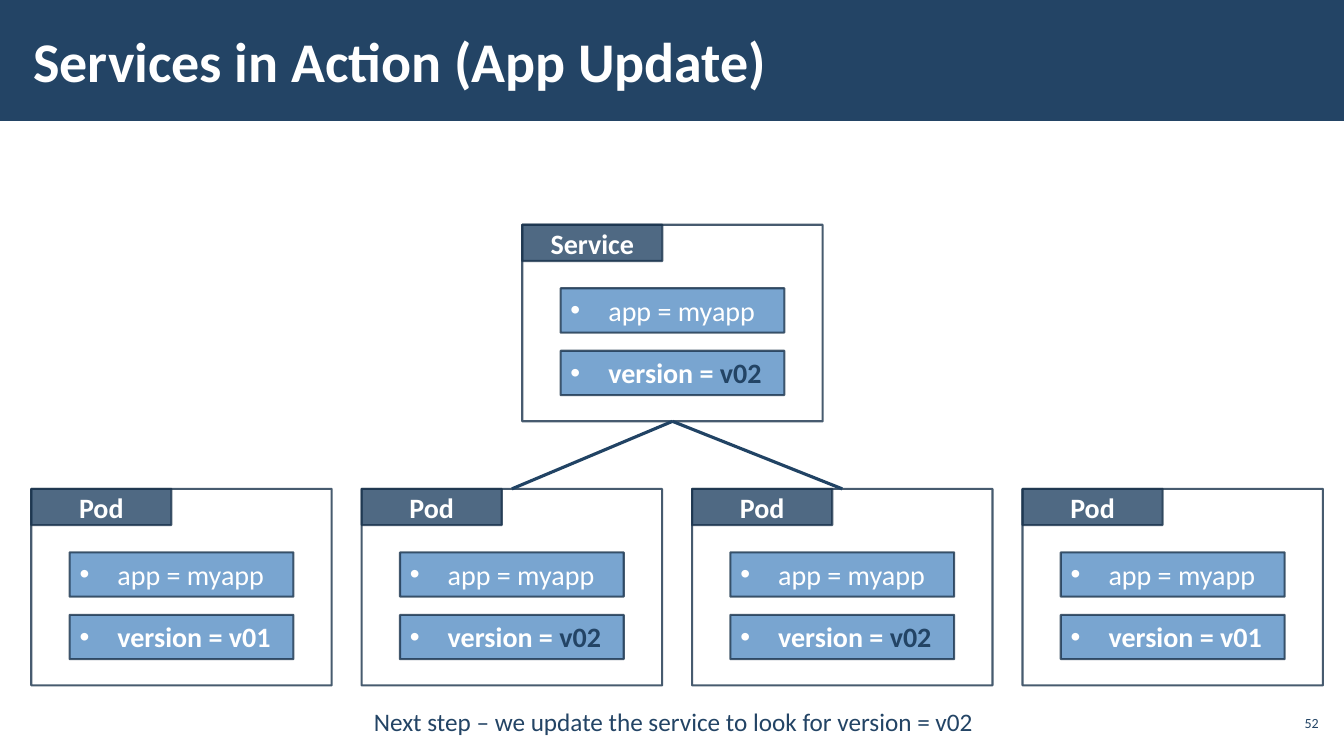
import pptx
import pptx.dml.color
import pptx.enum.shapes
import pptx.enum.text
import pptx.oxml.ns
import pptx.util
from lxml import etree

WIDTH, HEIGHT = 13.33, 7.5
NAVY, EDGE, SKY, WHITE = "234465", "1A334C", "588FC5", "FFFFFF"
FONT = "Calibri"
CARD_WIDTH, CARD_HEIGHT = 2.98, 1.95
POD_LEFT, POD_TOP, POD_PITCH = 0.31, 4.85, 3.277
SERVICE_LEFT, SERVICE_TOP = 5.18, 2.23
POD_VERSIONS = ("v01", "v02", "v02", "v01")
CURRENT_VERSION = "v02"
ALIGN = pptx.enum.text.PP_ALIGN
ANCHOR = pptx.enum.text.MSO_ANCHOR
RECTANGLE = pptx.enum.shapes.MSO_SHAPE.RECTANGLE


def inches(*lengths):
    """Turn lengths in inches into slide units."""
    return [pptx.util.Inches(length) for length in lengths]


def paint(color_format, color):
    """Set a colour format from a hex string."""
    color_format.rgb = pptx.dml.color.RGBColor.from_string(color)


def add_child(parent, tag, **attributes):
    """Append a drawing element with its attributes."""
    child = etree.SubElement(parent, pptx.oxml.ns.qn(tag))
    for name, value in attributes.items():
        child.set(name, value)
    return child


def make_translucent(fill_parent, percent):
    """Set the opacity of the solid fill directly inside an element."""
    color = fill_parent.find(pptx.oxml.ns.qn("a:solidFill"))[0]
    add_child(color, "a:alpha", val=str(percent * 1000))


def write(shape, spans, size=20, bold=False, align=ALIGN.LEFT, anchor=ANCHOR.TOP,
          margins=(0.1, 0.05), line_spacing=None, bullet=False):
    """Write one paragraph of (text, colour) spans into a shape."""
    frame = shape.text_frame
    frame.word_wrap = True
    frame.vertical_anchor = anchor
    frame.margin_left = frame.margin_right = pptx.util.Inches(margins[0])
    frame.margin_top = frame.margin_bottom = pptx.util.Inches(margins[1])
    para = frame.paragraphs[0]
    para.alignment = align
    if line_spacing:
        para.line_spacing = line_spacing
    if bullet:
        properties = para._p.get_or_add_pPr()
        indent = pptx.util.Inches(0.375)
        properties.set("marL", str(indent))
        properties.set("indent", str(-indent))
        add_child(properties, "a:buFont", typeface="Arial")
        add_child(properties, "a:buChar", char="•")
    for text, color in spans:
        span = para.add_run()
        span.text = text
        span.font.name = FONT
        span.font.size = pptx.util.Pt(size)
        span.font.bold = bold
        paint(span.font.color, color)


def add_rectangle(shapes, box, fill, line=None):
    """Add a rectangle, translucent when it has an outline."""
    shape = shapes.add_shape(RECTANGLE, *inches(*box))
    shape.shadow.inherit = False
    shape.fill.solid()
    paint(shape.fill.fore_color, fill)
    if line is None:
        shape.line.fill.background()
        return shape
    paint(shape.line.color, line)
    shape.line.width = pptx.util.Pt(1.5)
    make_translucent(shape._element.spPr, 80)
    make_translucent(shape.line._ln, 80)
    return shape


def add_text(page, box, text, color, **formats):
    """Add a text box with one span."""
    write(page.shapes.add_textbox(*inches(*box)), [(text, color)], **formats)


def add_header(page, box, title):
    """Add the title band."""
    left, top, width, height = box
    add_rectangle(page.shapes, box, NAVY)
    add_text(page, (left + 0.21, top + 0.11, width * 0.8, height * 0.81), title, WHITE,
             size=40, bold=True, anchor=ANCHOR.MIDDLE, margins=(0.12, 0.04))


def add_card(page, box, heading, version):
    """Add a grouped card with a heading and two labels, returning its frame."""
    left, top, width, height = box
    shapes = page.shapes.add_group_shape().shapes
    frame = add_rectangle(shapes, box, WHITE, EDGE)
    tab = add_rectangle(shapes, (left, top, 1.39, 0.36), NAVY, EDGE)
    write(tab, [(heading, WHITE)], bold=True, align=ALIGN.CENTER, anchor=ANCHOR.MIDDLE)
    version_color = NAVY if version == CURRENT_VERSION else WHITE
    labels = ([("app = myapp", WHITE)], [("version = ", WHITE), (version, version_color)])
    for row, spans in enumerate(labels):
        label_box = (left + 0.38, top + 0.63 + row * 0.62, width - 0.76, 0.44)
        label = add_rectangle(shapes, label_box, SKY, EDGE)
        write(label, spans, bold=row == 1, bullet=True)
    return frame


def connect(page, service, pod):
    """Join the bottom of the service to the top of a pod."""
    link = page.shapes.add_connector(pptx.enum.shapes.MSO_CONNECTOR.STRAIGHT, 0, 0, 0, 0)
    link.begin_connect(service, 2)
    link.end_connect(pod, 0)
    paint(link.line.color, "214364")
    link.line.width = pptx.util.Pt(2.25)
    add_child(link._element.spPr, "a:effectLst")


def add_footer(page, box, caption, number):
    """Add the caption and the page number."""
    left, top, width, height = box
    add_text(page, (left + 2.38, top, 8.6, height), caption, NAVY, size=18,
             align=ALIGN.CENTER, margins=(0.16, 0.12), line_spacing=1.1)
    add_text(page, (left + width - 0.68, top + 0.14, 0.47, 0.34), number, NAVY, size=10,
             align=ALIGN.RIGHT, anchor=ANCHOR.MIDDLE, margins=(0.04, 0.04))


def main():
    """Build and save the slide."""
    deck = pptx.Presentation()
    deck.slide_width, deck.slide_height = inches(WIDTH, HEIGHT)
    page = deck.slides.add_slide(deck.slide_layouts[6])
    add_header(page, (0, 0, WIDTH, 1.2), "Services in Action (App Update)")
    pods = [add_card(page, (POD_LEFT + column * POD_PITCH, POD_TOP, CARD_WIDTH, CARD_HEIGHT),
                     "Pod", version)
            for column, version in enumerate(POD_VERSIONS)]
    service = add_card(page, (SERVICE_LEFT, SERVICE_TOP, CARD_WIDTH, CARD_HEIGHT),
                       "Service", CURRENT_VERSION)
    for pod, version in zip(pods, POD_VERSIONS):
        if version == CURRENT_VERSION:
            connect(page, service, pod)
    add_footer(page, (0, 6.86, WIDTH, 0.56),
               "Next step – we update the service to look for version = v02", "52")
    deck.save("out.pptx")


if __name__ == "__main__":
    main()
